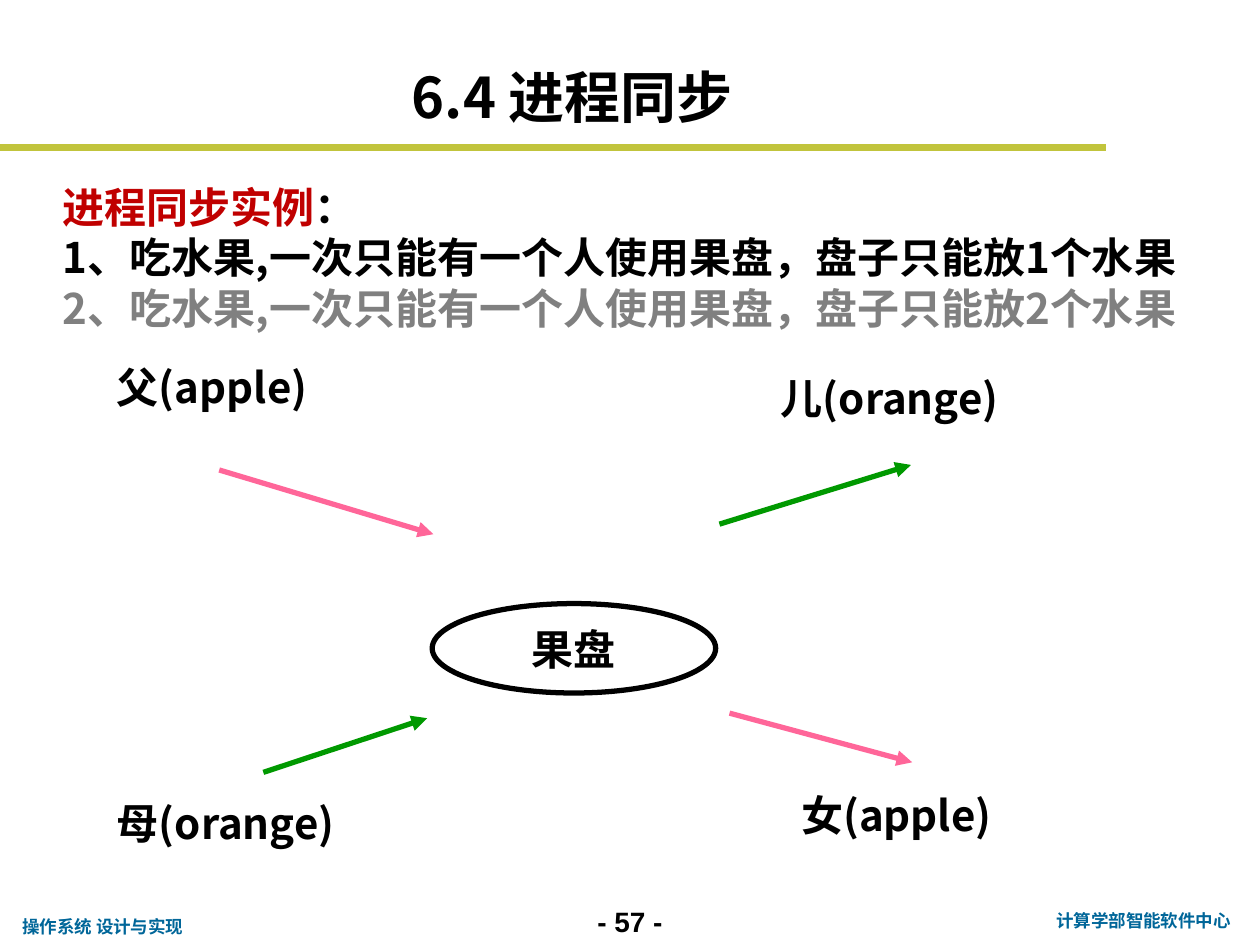
"""Build the slide on process synchronisation with the shared fruit plate."""
import pptx
import pptx.util
import pptx.dml.color
import pptx.enum.shapes
import pptx.enum.text
import pptx.oxml.ns
import lxml.etree

RGBColor = pptx.dml.color.RGBColor
BLACK = RGBColor(0x00, 0x00, 0x00)
RED = RGBColor(0xC0, 0x00, 0x00)
GRAY = RGBColor(0x80, 0x80, 0x80)
BLUE = RGBColor(0x00, 0x66, 0x99)
PINK = RGBColor(0xFF, 0x66, 0x99)
GREEN = RGBColor(0x00, 0x99, 0x00)
OLIVE = RGBColor(0xC1, 0xC4, 0x3C)

CJK_FONT = "Noto Sans CJK SC"
CENTER = pptx.enum.text.PP_ALIGN.CENTER
MIDDLE = pptx.enum.text.MSO_ANCHOR.MIDDLE
BOTTOM = pptx.enum.text.MSO_ANCHOR.BOTTOM
COLUMNS, ROWS = 100, 75

TITLE = ("6.4 进程同步", (31.7, 4.5, 39.2, 6.3))
EXAMPLES = [
    [("进程同步实例", RED), ("：", BLACK)],
    [("1、吃水果,一次只能有一个人使用果盘，盘子只能放1个水果", BLACK)],
    [("2、吃水果,一次只能有一个人使用果盘，盘子只能放2个水果", GRAY)],
]
EXAMPLES_PLACE = (4, 13.9, 94.6, 17.2)
PLATE = ("果盘", (34.3, 47.9, 22.5, 7.1))
PEOPLE = [
    ("父(apple)", (8.3, 28.2, 24.9, 5.1)),
    ("母(orange)", (8.3, 62.8, 27.4, 5.1)),
    ("儿(orange)", (61, 29.1, 27.4, 5.1)),
    ("女(apple)", (62.6, 62.2, 24.9, 5.1)),
]
ARROWS = [
    ((17.4, 37.3), (34.4, 42.4), PINK),
    ((20.9, 61.3), (33.9, 57), GREEN),
    ((57.1, 41.6), (72.3, 36.9), GREEN),
    ((57.9, 56.6), (72.4, 60.5), PINK),
]
RULE = ((0, 11.7), (87.8, 11.7))
FOOTERS = [
    ("- 57 -", (45, 71.3, 10, 3.7), dict(size=16, font="Arial", align=CENTER)),
    ("计算学部智能软件中心", (82.5, 71.7, 16.5, 2.7),
     dict(size=10, font="Roboto", color=BLUE, align=CENTER)),
    ("操作系统 设计与实现", (0.8, 72.2, 15, 2.7),
     dict(size=10, font="Roboto", color=BLUE, wrap=False)),
]

deck = pptx.Presentation()
deck.slide_width = pptx.util.Inches(10)
deck.slide_height = pptx.util.Inches(7.5)
page = deck.slides.add_slide(deck.slide_layouts[6])


def across(column):
    return round(deck.slide_width * column / COLUMNS)


def down(row):
    return round(deck.slide_height * row / ROWS)


def spot(place):
    left, top, width, height = place
    return across(left), down(top), across(width), down(height)


def write(shape, text, size=24, font=CJK_FONT, color=BLACK, align=None, anchor=None, wrap=True):
    frame = shape.text_frame
    frame.word_wrap = wrap
    if anchor is not None:
        frame.vertical_anchor = anchor
    paragraphs = [[(text, color)]] if isinstance(text, str) else text
    for index, pieces in enumerate(paragraphs):
        para = frame.add_paragraph() if index else frame.paragraphs[0]
        para.alignment = align
        for words, shade in pieces:
            span = para.add_run()
            span.text = words
            span.font.size = pptx.util.Pt(size)
            span.font.name = font
            span.font.bold = True
            span.font.color.rgb = shade
            east_asian = lxml.etree.SubElement(span.font._element, pptx.oxml.ns.qn("a:ea"))
            east_asian.set("typeface", CJK_FONT)


def add_text(text, place, **style):
    write(page.shapes.add_textbox(*spot(place)), text, **style)


def add_line(start, end, color, weight, arrow=False):
    line = page.shapes.add_connector(
        pptx.enum.shapes.MSO_CONNECTOR.STRAIGHT,
        across(start[0]), down(start[1]), across(end[0]), down(end[1]))
    line.line.color.rgb = color
    line.line.width = pptx.util.Pt(weight)
    if arrow:
        outline = line.line._get_or_add_ln()
        lxml.etree.SubElement(outline, pptx.oxml.ns.qn("a:tailEnd")).set("type", "triangle")
    lxml.etree.SubElement(line._element.spPr, pptx.oxml.ns.qn("a:effectLst"))


for label, place, style in FOOTERS:
    add_text(label, place, **style)
add_line(*RULE, OLIVE, 4)

label, place = PLATE
plate = page.shapes.add_shape(pptx.enum.shapes.MSO_SHAPE.OVAL, *spot(place))
plate.shadow.inherit = False
plate.fill.background()
plate.line.color.rgb = BLACK
plate.line.width = pptx.util.Pt(3)
write(plate, label, align=CENTER, anchor=MIDDLE)

for start, end, color in ARROWS:
    add_line(start, end, color, 3, arrow=True)
for label, place in PEOPLE:
    add_text(label, place)
add_text(EXAMPLES, EXAMPLES_PLACE)
add_text(*TITLE, size=32, anchor=BOTTOM)

deck.save("out.pptx")
